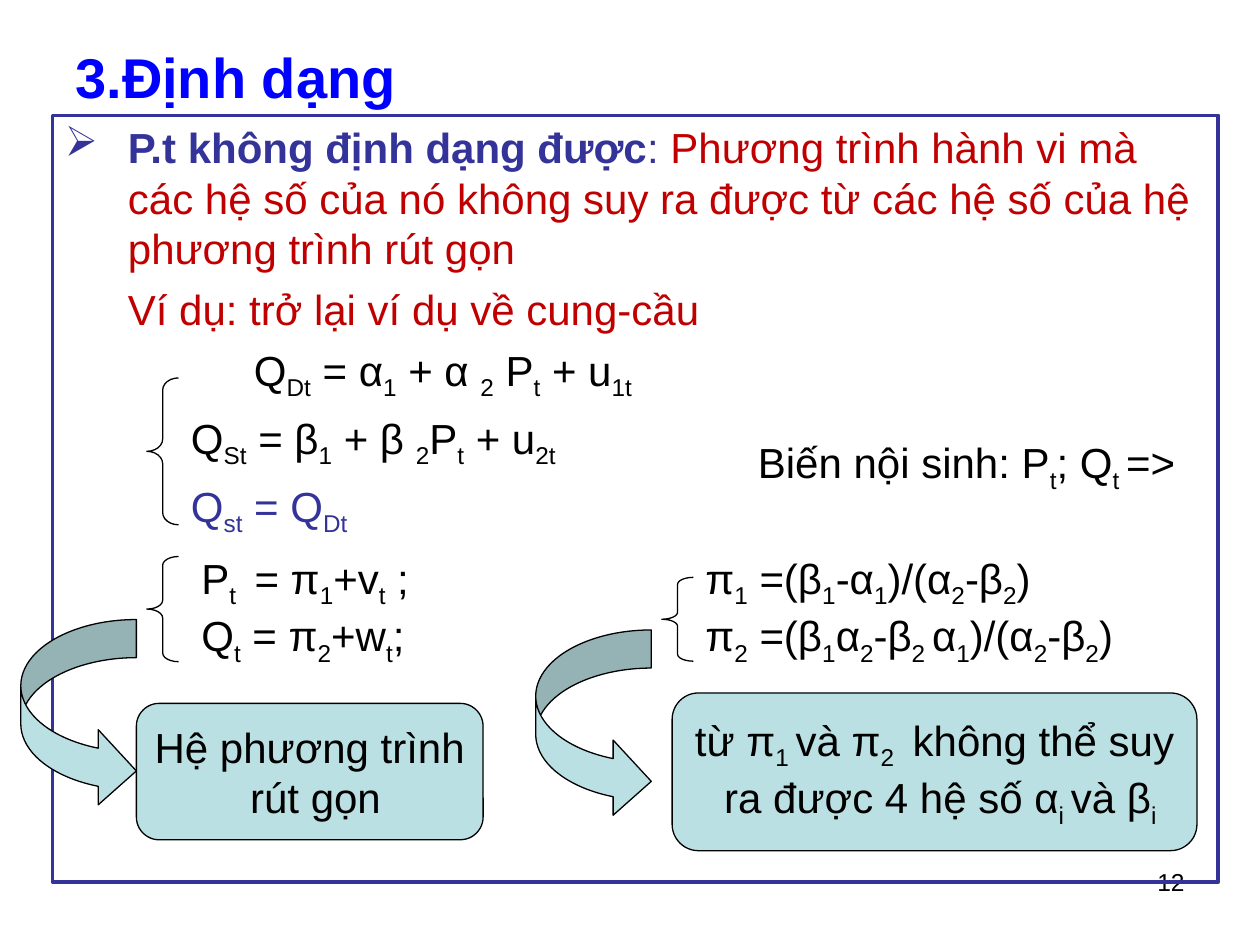
import pptx
import pptx.dml.color
import pptx.enum.shapes
import pptx.enum.text
import pptx.oxml.ns
import pptx.util
from lxml import etree

Cm = pptx.util.Cm
Pt = pptx.util.Pt
Shape = pptx.enum.shapes.MSO_SHAPE
Align = pptx.enum.text.PP_ALIGN
Anchor = pptx.enum.text.MSO_ANCHOR
qn = pptx.oxml.ns.qn

COLORS = {
    "black": "000000",
    "title": "0000FF",
    "accent": "333399",
    "definition": "C00000",
    "panel": "BBE0E3",
}
BODY_FONT = {"name": "Arial", "size": Pt(24), "bold": False}
SUBSCRIPT = "-25000"


def color(name):
    return pptx.dml.color.RGBColor.from_string(COLORS[name])


def set_attributes(target, values):
    for name, value in values.items():
        setattr(target, name, value)


def add_spans(para, text, ink="black", **font):
    for index, piece in enumerate(text.split("~")):
        if not piece:
            continue
        span = para.add_run()
        span.text = piece
        set_attributes(span.font, {**BODY_FONT, **font})
        span.font.color.rgb = color(ink)
        if index % 2:
            span.font._element.set("baseline", SUBSCRIPT)


def set_indent(para, left, first=0):
    properties = para._p.get_or_add_pPr()
    properties.set("marL", str(Cm(left)))
    properties.set("indent", str(Cm(first)))


def add_bullet(para, symbol, ink):
    properties = para._p.get_or_add_pPr()
    bullet_color = etree.SubElement(properties, qn("a:buClr"))
    etree.SubElement(bullet_color, qn("a:srgbClr")).set("val", COLORS[ink])
    etree.SubElement(properties, qn("a:buChar")).set("char", symbol)


def add_tab_stop(para, position):
    stops = etree.SubElement(para._p.get_or_add_pPr(), qn("a:tabLst"))
    stop = etree.SubElement(stops, qn("a:tab"))
    stop.set("pos", str(Cm(position)))
    stop.set("algn", "l")


def next_paragraph(frame):
    first = frame.paragraphs[0]
    return frame.add_paragraph() if first.runs else first


def add_text(page, place, lines, align=Align.LEFT, anchor=Anchor.TOP, tab=None, **font):
    box = page.shapes.add_textbox(*map(Cm, place))
    set_attributes(box.text_frame, {"word_wrap": True, "vertical_anchor": anchor})
    for line in lines:
        para = next_paragraph(box.text_frame)
        para.alignment = align
        if tab:
            add_tab_stop(para, tab)
        add_spans(para, line, **font)


def add_figure(page, kind, place, adjustments=(), fill=None, ink="black", width=0.75):
    figure = page.shapes.add_shape(kind, *map(Cm, place))
    figure.shadow.inherit = False
    for index, value in enumerate(adjustments):
        figure.adjustments[index] = value
    if fill:
        figure.fill.solid()
        figure.fill.fore_color.rgb = color(fill)
    else:
        figure.fill.background()
    figure.line.color.rgb = color(ink)
    figure.line.width = Pt(width)
    return figure


def add_body(page):
    body = add_figure(page, Shape.RECTANGLE, (1.06, 2.33, 23.5, 15.45),
                      ink="accent", width=2.25)
    frame = body.text_frame
    set_attributes(frame, {"word_wrap": True, "vertical_anchor": Anchor.TOP})

    definition = frame.paragraphs[0]
    definition.alignment = Align.LEFT
    set_indent(definition, 1.27, -1.27)
    add_bullet(definition, "➢", "accent")
    add_spans(definition, "P.t không định dạng được", "accent", bold=True)
    add_spans(definition, ": ", "accent")
    add_spans(definition, "Phương trình hành vi mà các hệ số của nó không suy ra "
              "được từ các hệ số của hệ phương trình rút gọn", "definition")

    lines = [
        (1.27, "definition", "Ví dụ: trở lại ví dụ về cung-cầu"),
        (3.81, "black", "Q~Dt~ = α~1~ + α ~2~ P~t~ + u~1t~"),
        (2.54, "black", "Q~St~ = β~1~ + β ~2~P~t~ + u~2t~"),
        (2.54, "accent", "Q~st~ = Q~Dt~"),
    ]
    for left, ink, text in lines:
        para = next_paragraph(frame)
        set_attributes(para, {"alignment": Align.LEFT, "space_before": Pt(6)})
        set_indent(para, left)
        add_spans(para, text, ink)


def add_brace(page, left, top, height):
    width = 0.64
    add_figure(page, Shape.LEFT_BRACE, (left, top, width, height),
               (height / width / 12, 0.5))


def add_conclusion(page, place, lines):
    panel = add_figure(page, Shape.ROUNDED_RECTANGLE, place, (0.167,), "panel")
    set_attributes(panel.text_frame, {"word_wrap": False, "vertical_anchor": Anchor.MIDDLE})
    for line in lines:
        para = next_paragraph(panel.text_frame)
        para.alignment = Align.CENTER
        add_spans(para, line)


def add_curved_arrow(page, left, top):
    add_figure(page, Shape.CURVED_RIGHT_ARROW, (left, top, 2.33, 3.81),
               (0.33, 0.65, 0.33), "panel")


def main():
    deck = pptx.Presentation()
    set_attributes(deck, {"slide_width": Cm(25.4), "slide_height": Cm(19.05)})
    page = deck.slides.add_slide(deck.slide_layouts[6])

    add_text(page, (18.21, 17.35, 5.92, 1.32), ["12"], Align.RIGHT, size=Pt(14))
    add_text(page, (1.27, 0.43, 22.86, 2.21), ["3.Định dạng"], anchor=Anchor.MIDDLE,
             ink="title", size=Pt(32), bold=True)
    add_body(page)
    add_text(page, (3.81, 11.01, 20.32, 3.58), [
        "P~t ~ = π~1~+v~t~ ;\tπ~1~ =(β~1~-α~1~)/(α~2~-β~2~)",
        "Q~t~ = π~2~+w~t~;\tπ~2~ =(β~1~α~2~-β~2 ~α~1~)/(α~2~-β~2~)",
    ], tab=10.16)

    for left, top, height in [(2.96, 11.22, 2.12), (13.34, 11.64, 1.69), (2.96, 7.62, 2.96)]:
        add_brace(page, left, top, height)

    add_conclusion(page, (2.75, 14.18, 6.99, 2.75), ["Hệ phương trình", " rút gọn"])
    add_conclusion(page, (13.55, 13.97, 10.58, 3.18), [
        "từ π~1 ~và π~2 ~ không thể suy",
        " ra được 4 hệ số α~i ~và β~i~",
    ])
    for left, top in [(0.42, 12.49), (10.8, 12.7)]:
        add_curved_arrow(page, left, top)

    add_text(page, (15.03, 8.68, 9.1, 1.42), ["Biến nội sinh: P~t~; Q~t ~=>"])
    deck.save("out.pptx")


if __name__ == "__main__":
    main()
